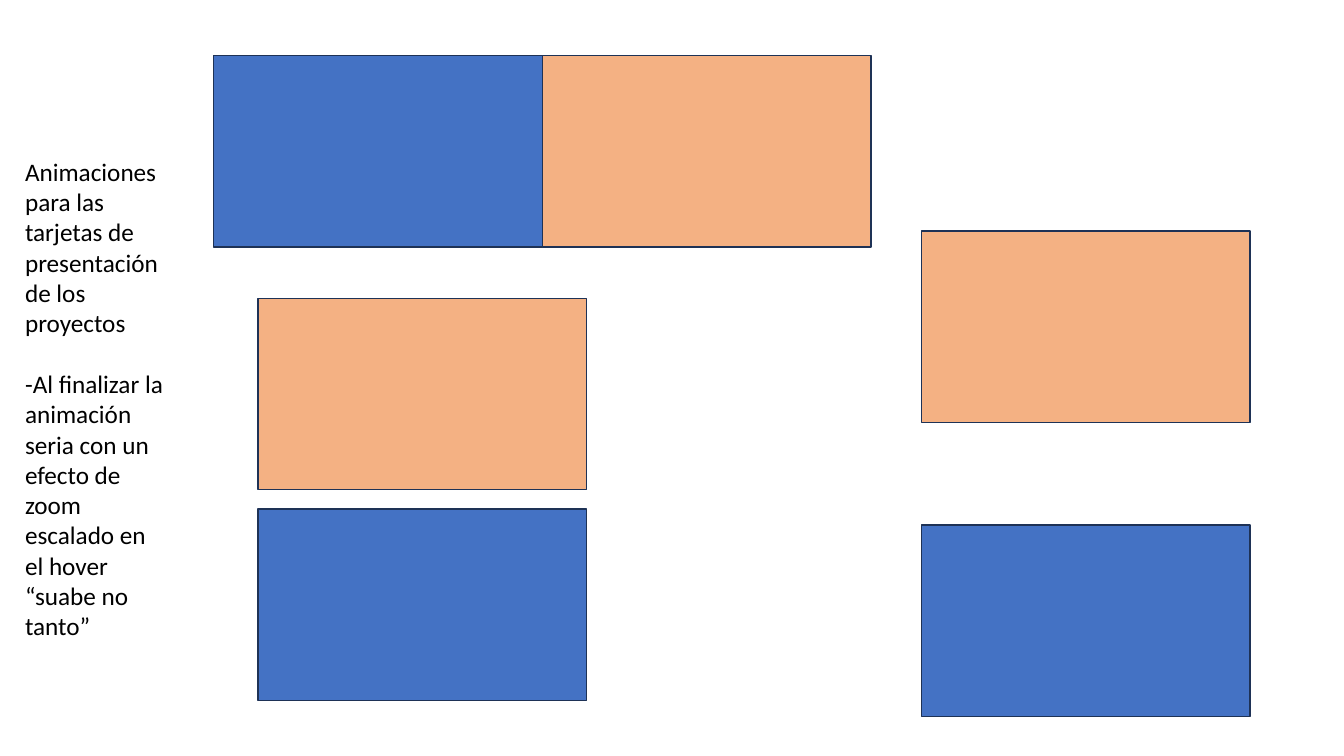
from pptx import Presentation
from pptx.dml.color import RGBColor
from pptx.enum.shapes import MSO_SHAPE
from pptx.util import Inches, Pt

RECTANGLE = MSO_SHAPE.RECTANGLE

COLORS = {"blue": "4472C4", "orange": "F4B183", "outline": "1E3256", "text": "000000"}
FONT = "Calibri"

NOTES = [
    "Animaciones para las tarjetas de presentación de los proyectos",
    "-Al finalizar la animación seria con un efecto de zoom escalado en el hover “suabe no tanto”",
]
NOTES_BOX = (0.15, 1.5, 1.58, 4.95)
NOTES_SIZE = 18
NOTES_GAP = 22  # one line of text, in points

CARD_WIDTH, CARD_HEIGHT = 3.26, 1.9
ROW_LEFT, ROW_TOP = 2.12, 0.55
MIDDLE_LEFT, RIGHT_LEFT = 2.56, 9.14
CARDS = [  # color, left, top
    ("blue", ROW_LEFT, ROW_TOP),
    ("orange", ROW_LEFT + CARD_WIDTH, ROW_TOP),
    ("blue", MIDDLE_LEFT, 5.05),
    ("orange", MIDDLE_LEFT, 2.96),
    ("blue", RIGHT_LEFT, 5.21),
    ("orange", RIGHT_LEFT, 2.29),
]


def rgb(name):
    return RGBColor.from_string(COLORS[name])


def add_card(slide, color, left, top):
    card = slide.shapes.add_shape(
        RECTANGLE, Inches(left), Inches(top), Inches(CARD_WIDTH), Inches(CARD_HEIGHT)
    )
    card.shadow.inherit = False
    card.fill.solid()
    card.fill.fore_color.rgb = rgb(color)
    card.line.color.rgb = rgb("outline")
    card.line.width = Pt(1)


def add_notes(slide):
    frame = slide.shapes.add_textbox(*map(Inches, NOTES_BOX)).text_frame
    frame.word_wrap = True
    for index, note in enumerate(NOTES):
        paragraph = frame.add_paragraph() if index else frame.paragraphs[0]
        if index:
            paragraph.space_before = Pt(NOTES_GAP)
        run = paragraph.add_run()
        run.text = note
        run.font.name = FONT
        run.font.size = Pt(NOTES_SIZE)
        run.font.color.rgb = rgb("text")


def main():
    deck = Presentation()
    deck.slide_width, deck.slide_height = Inches(13.33), Inches(7.5)
    blank_layout = deck.slide_layouts[6]
    slide = deck.slides.add_slide(blank_layout)
    for card in CARDS:
        add_card(slide, *card)
    add_notes(slide)
    deck.save("out.pptx")


if __name__ == "__main__":
    main()
